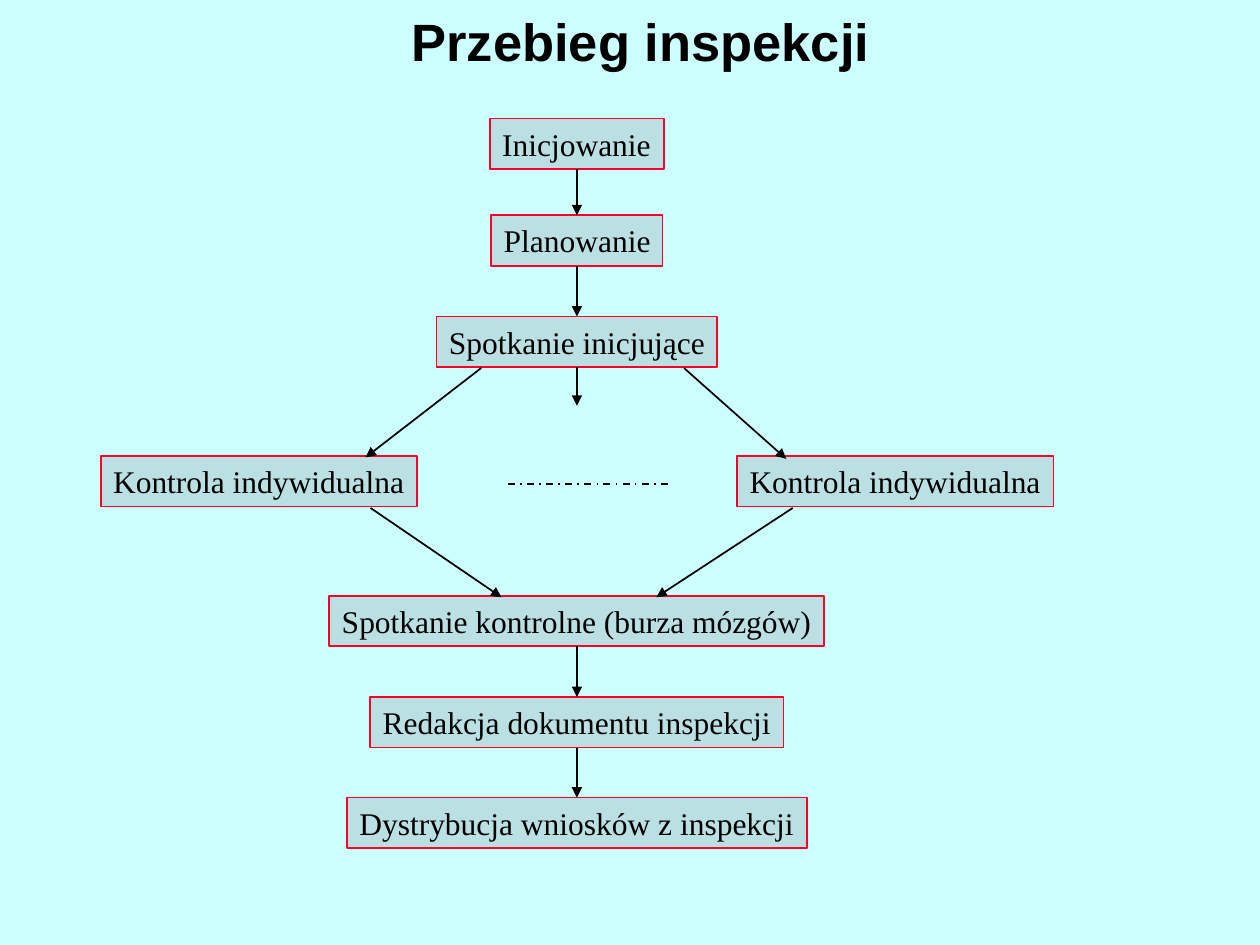
from dataclasses import dataclass

from pptx import Presentation
from pptx.dml.color import RGBColor
from pptx.enum.dml import MSO_LINE
from pptx.enum.shapes import MSO_CONNECTOR, MSO_SHAPE
from pptx.enum.text import MSO_ANCHOR, PP_ALIGN
from pptx.oxml.ns import qn
from pptx.slide import Slide
from pptx.util import Cm, Pt
from lxml import etree

RECTANGLE = MSO_SHAPE.RECTANGLE
STRAIGHT = MSO_CONNECTOR.STRAIGHT
DASH_DOT = MSO_LINE.DASH_DOT
LEFT, CENTER = PP_ALIGN.LEFT, PP_ALIGN.CENTER
TOP, MIDDLE = MSO_ANCHOR.TOP, MSO_ANCHOR.MIDDLE
TOP_SIDE, BOTTOM_SIDE = 0, 2

AXIS = 11.63
LEFT_AXIS, RIGHT_AXIS = 5.22, 18.05
STAGE_HEIGHT = 1.02
CHECK_TOP = 9.19
OPENING = [
    ("Inicjowanie", 2.39, 3.51),
    ("Planowanie", 4.34, 3.45),
    ("Spotkanie inicjujące", 6.38, 5.66),
]
CLOSING = [
    ("Spotkanie kontrolne (burza mózgów)", 12.01, 9.98),
    ("Redakcja dokumentu inspekcji", 14.05, 8.33),
    ("Dystrybucja wniosków z inspekcji", 16.08, 9.27),
]
BRANCHES = [
    ((9.7, 7.42), (7.37, 9.22)),
    ((13.79, 7.42), (15.85, 9.25)),
    ((7.47, 10.24), (10.11, 12.04)),
    ((15.98, 10.24), (13.23, 12.04)),
]


def colour(hex_code):
    """Turn a hex string into a colour."""
    return RGBColor.from_string(hex_code)


def write(frame, text, *, font, size, ink, bold=False, align=LEFT, anchor=TOP):
    """Put one formatted paragraph into a text frame."""
    frame.word_wrap = True
    frame.vertical_anchor = anchor
    paragraph = frame.paragraphs[0]
    paragraph.alignment = align
    run = paragraph.add_run()
    run.text = text
    run.font.name = font
    run.font.size = Pt(size)
    run.font.bold = bold
    run.font.color.rgb = colour(ink)


@dataclass
class Flowchart:
    """Style of the flowchart and the slide it is drawn on."""

    slide: Slide
    background: str = "CCFFFF"
    box_fill: str = "BBE0E3"
    box_edge: str = "FC0128"
    ink: str = "000000"
    title_font: str = "Arial"
    body_font: str = "Times New Roman"

    def paint_background(self):
        """Fill the slide background."""
        fill = self.slide.background.fill
        fill.solid()
        fill.fore_color.rgb = colour(self.background)

    def title(self, text):
        """Add the heading."""
        heading = self.slide.shapes.add_textbox(Cm(1.7), Cm(0), Cm(22.43), Cm(1.65))
        write(heading.text_frame, text, font=self.title_font, size=30, ink=self.ink,
              bold=True, align=CENTER, anchor=MIDDLE)

    def stage(self, text, top, width, axis=AXIS):
        """Add a framed stage centred on a vertical axis."""
        box = self.slide.shapes.add_shape(
            RECTANGLE, Cm(axis - width / 2), Cm(top), Cm(width), Cm(STAGE_HEIGHT))
        box.shadow.inherit = False
        box.fill.solid()
        box.fill.fore_color.rgb = colour(self.box_fill)
        box.line.color.rgb = colour(self.box_edge)
        box.line.width = Pt(1)
        box.text_frame.margin_right = Cm(0)
        write(box.text_frame, text, font=self.body_font, size=18, ink=self.ink)
        return box

    def line(self, start, end, dash=None):
        """Add a straight line, optionally dashed."""
        connector = self.slide.shapes.add_connector(
            STRAIGHT, *(Cm(value) for value in (*start, *end)))
        connector.line.color.rgb = colour(self.ink)
        connector.line.width = Pt(1)
        if dash is not None:
            connector.line.dash_style = dash
        etree.SubElement(connector._element.spPr, qn("a:effectLst"))
        return connector

    def arrow(self, start, end):
        """Add a line with an arrowhead at its end."""
        connector = self.line(start, end)
        etree.SubElement(connector.line._get_or_add_ln(), qn("a:tailEnd"), type="triangle")
        return connector

    def sequence(self, stages):
        """Stack stages, join each to the next and return the boxes."""
        boxes = [self.stage(*stage) for stage in stages]
        for upper, lower in zip(boxes, boxes[1:]):
            step = self.arrow((AXIS, 0), (AXIS, 1))
            step.begin_connect(upper, BOTTOM_SIDE)
            step.end_connect(lower, TOP_SIDE)
        return boxes


def main():
    """Build and save the inspection flowchart."""
    presentation = Presentation()
    presentation.slide_width, presentation.slide_height = Cm(25.4), Cm(19.05)
    chart = Flowchart(presentation.slides.add_slide(presentation.slide_layouts[6]))
    chart.paint_background()
    chart.title("Przebieg inspekcji")

    opening_meeting = chart.sequence(OPENING)[-1]
    for axis in (LEFT_AXIS, RIGHT_AXIS):
        chart.stage("Kontrola indywidualna", CHECK_TOP, 6.38, axis)
    chart.sequence(CLOSING)

    for start, end in BRANCHES:
        chart.arrow(start, end)
    further_checks = chart.arrow((AXIS, 7.4), (AXIS, 8.18))
    further_checks.begin_connect(opening_meeting, BOTTOM_SIDE)
    chart.line((10.24, 9.75), (13.46, 9.75), DASH_DOT)

    presentation.save("out.pptx")


if __name__ == "__main__":
    main()
